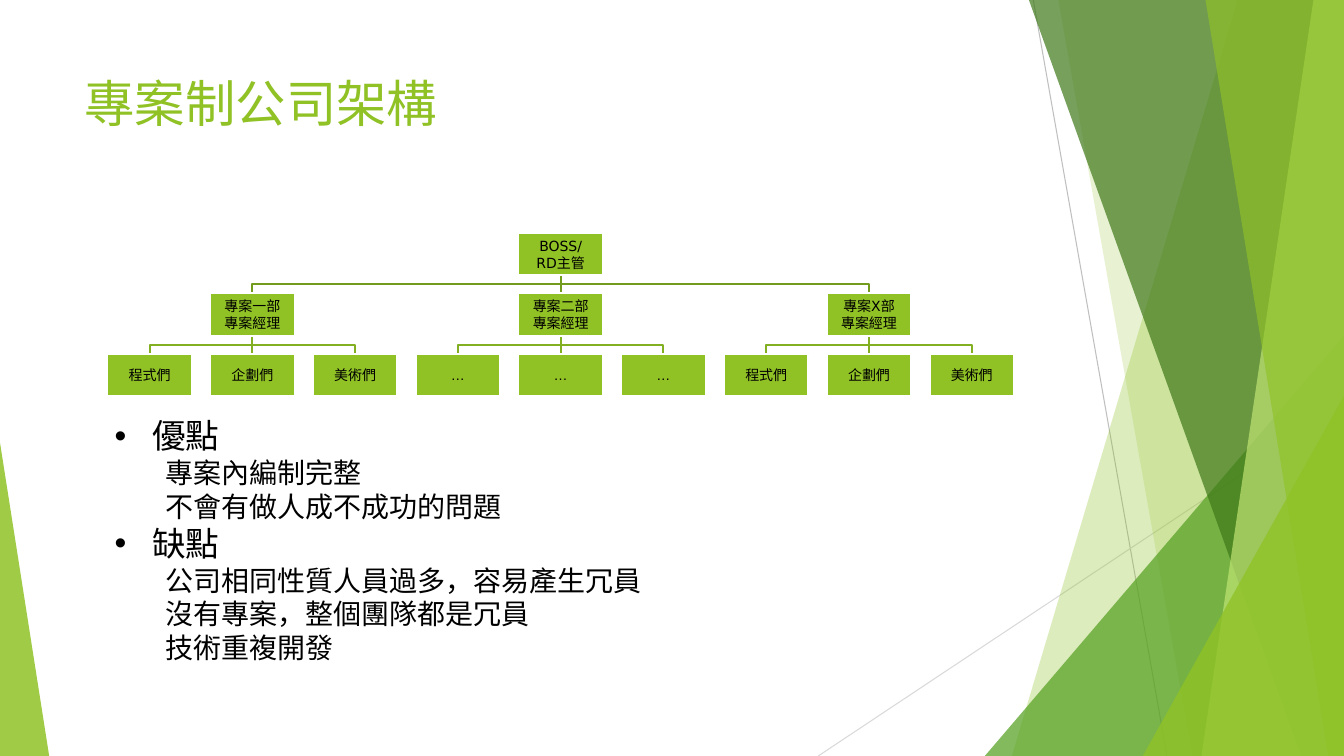
"""Builds the slide on the structure of a project-based company."""
from lxml import etree
from pptx import Presentation
from pptx.dml.color import RGBColor
from pptx.enum.shapes import MSO_CONNECTOR, MSO_SHAPE
from pptx.enum.text import MSO_ANCHOR, PP_ALIGN
from pptx.oxml.ns import qn
from pptx.util import Cm, Pt

LIME = RGBColor(0x90, 0xC2, 0x26)
GREEN = RGBColor(0x54, 0xA0, 0x21)
FOREST = RGBColor(0x3F, 0x78, 0x19)
PALE = RGBColor(0xC0, 0xE4, 0x74)
SILVER = RGBColor(0xBF, 0xBF, 0xBF)
LIGHT_GREY = RGBColor(0xD9, 0xD9, 0xD9)
UPPER_BRANCH = RGBColor(0x73, 0x9B, 0x1E)
LOWER_BRANCH = RGBColor(0x83, 0xB0, 0x22)
BLACK = RGBColor(0, 0, 0)
WHITE = RGBColor(0xFF, 0xFF, 0xFF)
WIDTH, HEIGHT = 33.87, 19.05


def write(paragraph, text, color, values):
    span = paragraph.add_run()
    span.text = text
    span.font.color.rgb = color
    for name, value in values.items():
        setattr(span.font, name, value)


def draw_line(start, end, color, width):
    line = page.shapes.add_connector(
        MSO_CONNECTOR.STRAIGHT, *[Cm(value) for value in start + end])
    line.line.color.rgb = color
    line.line.width = Pt(width)
    etree.SubElement(line._element.spPr, qn("a:effectLst"))


deck = Presentation()
deck.slide_width, deck.slide_height = Cm(WIDTH), Cm(HEIGHT)
page = deck.slides.add_slide(deck.slide_layouts[6])

draw_line((26.04, 0), (29.41, HEIGHT), SILVER, 0.75)
draw_line((WIDTH, 10.24), (20.62, HEIGHT), LIGHT_GREY, 0.75)

facets = [
    ("band", (31.19, 25.5), LIME, 30),
    ("band", (26.67, 30.05), LIME, 20),
    ("triangle", (24.82, 8.46, 9.05, 1), GREEN, 72),
    ("band", (25.93, 32.79), FOREST, 70),
    ("band", (33.1, 30.28), PALE, 70),
    ("band", (30.38, 33.48), LIME, 65),
    ("triangle", (28.8, 9.98, 5.07, 1), LIME, 80),
    ("triangle", (0, 11.15, 1.24, 0), LIME, 85),
]
for kind, place, color, opacity in facets:
    if kind == "band":
        upper, lower = place
        outline = page.shapes.build_freeform(Cm(upper), 0)
        outline.add_line_segments([(Cm(x), Cm(y)) for x, y in (
            (WIDTH, 0), (WIDTH, HEIGHT), (lower, HEIGHT))])
        facet = outline.convert_to_shape()
    else:
        left, top, width, tip = place
        facet = page.shapes.add_shape(
            MSO_SHAPE.ISOSCELES_TRIANGLE, Cm(left), Cm(top), Cm(width), Cm(HEIGHT - top))
        facet.adjustments[0] = tip
    facet.shadow.inherit = False
    facet.line.fill.background()
    facet.fill.solid()
    facet.fill.fore_color.rgb = color
    tint = facet._element.spPr.find(f".//{qn('a:srgbClr')}")
    etree.SubElement(tint, qn("a:alpha")).set("val", str(opacity * 1000))

title = page.shapes.add_textbox(Cm(1.88), Cm(1.7), Cm(23.88), Cm(3.66)).text_frame
title.word_wrap = True
write(title.paragraphs[0], "專案制公司架構", LIME, {"size": Pt(36), "name": "Roboto"})

BOX_WIDTH, BOX_HEIGHT = 2.13, 1.07
MIDDLE, COLUMN_STEP = 14.13, 2.59
ROOT_TOP, ROW_STEP = 5.87, 1.52
departments = [
    ("專案一部", ["程式們", "企劃們", "美術們"]),
    ("專案二部", ["…", "…", "…"]),
    ("專案X部", ["程式們", "企劃們", "美術們"]),
]
boxes = [(["BOSS/", "RD主管"], 0, 0)]
branches = []
for group, (department, teams) in enumerate(departments):
    center = (group - 1) * 3
    boxes.append(([department, "專案經理"], center, 1))
    branches.append((0, center, 0, UPPER_BRANCH))
    for index, team in enumerate(teams):
        column = center + index - 1
        boxes.append(([team], column, 2))
        branches.append((center, column, 1, LOWER_BRANCH))

for parent, child, row, color in branches:
    start, end = [MIDDLE + column * COLUMN_STEP for column in (parent, child)]
    top = ROOT_TOP + row * ROW_STEP + BOX_HEIGHT
    bottom = ROOT_TOP + (row + 1) * ROW_STEP
    if parent == child:
        draw_line((start, top), (end, bottom), color, 1.5)
        continue
    bend = (top + bottom) / 2
    outline = page.shapes.build_freeform(Cm(start), Cm(top))
    outline.add_line_segments(
        [(Cm(x), Cm(y)) for x, y in ((start, bend), (end, bend), (end, bottom))],
        close=False)
    branch = outline.convert_to_shape()
    branch.shadow.inherit = False
    branch.fill.background()
    branch.line.color.rgb = color
    branch.line.width = Pt(1.5)

for lines, column, row in boxes:
    box = page.shapes.add_shape(
        MSO_SHAPE.RECTANGLE,
        Cm(MIDDLE + column * COLUMN_STEP - BOX_WIDTH / 2),
        Cm(ROOT_TOP + row * ROW_STEP), Cm(BOX_WIDTH), Cm(BOX_HEIGHT))
    box.shadow.inherit = False
    box.fill.solid()
    box.fill.fore_color.rgb = LIME
    box.line.color.rgb = WHITE
    box.line.width = Pt(1.5)
    frame = box.text_frame
    frame.word_wrap = True
    frame.vertical_anchor = MSO_ANCHOR.MIDDLE
    for side in ("left", "top", "right", "bottom"):
        setattr(frame, f"margin_{side}", Cm(0.02))
    for index, text in enumerate(lines):
        paragraph = frame.add_paragraph() if index else frame.paragraphs[0]
        paragraph.alignment = PP_ALIGN.CENTER
        font = "Arial" if text == "…" else "DejaVu Sans"
        write(paragraph, text, BLACK, {"size": Pt(10), "name": font})

points = [
    (0, "優點"),
    (1, "專案內編制完整"),
    (1, "不會有做人成不成功的問題"),
    (0, "缺點"),
    (1, "公司相同性質人員過多，容易產生冗員"),
    (1, "沒有專案，整個團隊都是冗員"),
    (1, "技術重複開發"),
]
frame = page.shapes.add_textbox(Cm(2.64), Cm(10.34), Cm(21.87), Cm(7.34)).text_frame
frame.word_wrap = True
for index, (level, text) in enumerate(points):
    paragraph = frame.add_paragraph() if index else frame.paragraphs[0]
    paragraph.level = level
    properties = paragraph._p.get_or_add_pPr()
    properties.set("marL", str(Cm(1.27 if level else 0.95)))
    properties.set("indent", str(Cm(0 if level else -0.95)))
    if level == 0:
        etree.SubElement(properties, qn("a:buFont")).set("typeface", "Arial")
        etree.SubElement(properties, qn("a:buChar")).set("char", "•")
    write(paragraph, text, BLACK, {"size": Pt(20 if level else 24), "name": "Roboto"})

deck.save("out.pptx")
